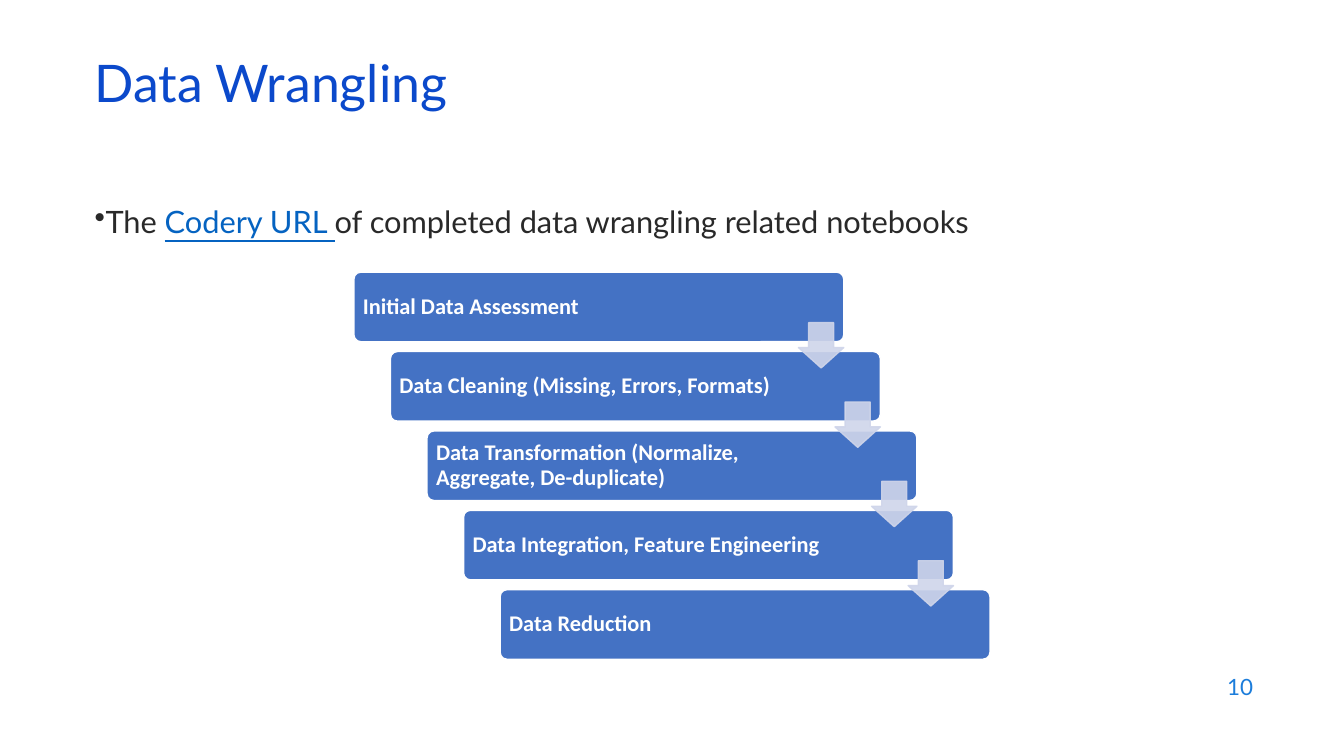
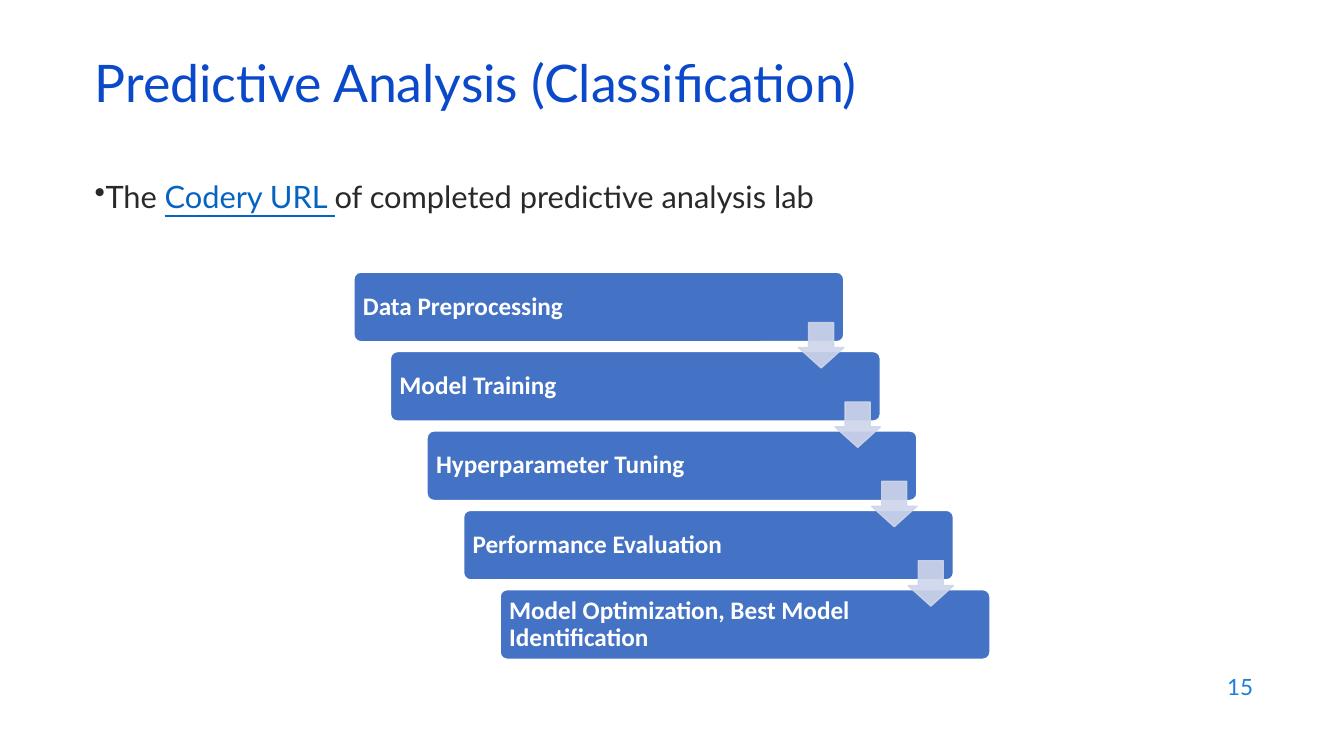
from lxml import etree
from pptx import Presentation
from pptx.dml.color import RGBColor
from pptx.enum.shapes import MSO_SHAPE
from pptx.enum.text import MSO_ANCHOR, MSO_AUTO_SIZE, PP_ALIGN
from pptx.oxml.ns import qn
from pptx.util import Inches, Pt

BOX, ARROW = MSO_SHAPE.ROUNDED_RECTANGLE, MSO_SHAPE.DOWN_ARROW
TOP, MIDDLE = MSO_ANCHOR.TOP, MSO_ANCHOR.MIDDLE
LEFT, RIGHT = PP_ALIGN.LEFT, PP_ALIGN.RIGHT
FIXED = MSO_AUTO_SIZE.NONE


def paint(target, color):
    target.rgb = RGBColor.from_string(color)


def assign(target, values):
    for name, value in values.items():
        setattr(target, name, value)


class Deck:
    title_font = {"name": "Lato", "size": Pt(37), "bold": False}
    body_font = {"name": "Lato", "size": Pt(22)}
    page_font = {"name": "Lato", "size": Pt(16)}
    step_font = {"name": "Calibri", "bold": True}
    step_frame = {"margin_left": Pt(5), "margin_right": Pt(63),
                  "margin_top": Pt(4), "margin_bottom": Pt(4)}
    ink, link, blue, sky = "292929", "0563C1", "0B49CB", "1C7DDB"
    fill, pale, white = "4472C4", "CFD5EA", "FFFFFF"

    def __init__(self):
        self.show = Presentation()
        self.show.slide_width = Inches(13.33)
        self.show.slide_height = Inches(7.5)
        self.slide = None

    def area(self, left, top, width, height):
        across, down = self.show.slide_width / 100, self.show.slide_height / 100
        return [round(n) for n in (left * across, top * down, width * across, height * down)]

    def label(self, shape, runs, font, anchor=MIDDLE, align=LEFT, spacing=1.0):
        frame = shape.text_frame
        assign(frame, {"word_wrap": True, "auto_size": FIXED, "vertical_anchor": anchor})
        line = frame.paragraphs[0]
        assign(line, {"alignment": align, "line_spacing": spacing})
        for text, color, under in runs:
            run = line.add_run()
            run.text = text
            assign(run.font, {**font, "underline": under})
            paint(run.font.color, color)
        return line

    def text(self, place, runs, font, **style):
        shape = self.slide.shapes.add_textbox(*self.area(*place))
        return self.label(shape, runs, font, **style)

    def page(self, title, number):
        self.slide = self.show.slides.add_slide(self.show.slide_layouts[5])
        head = self.slide.shapes.title
        names = ("left", "top", "width", "height")
        assign(head, dict(zip(names, self.area(6.3, 7.87, 86.25, 8))))
        self.label(head, [(title, self.blue, False)], self.title_font, spacing=0.7)
        self.text((71.48, 87.87, 22.5, 5.87), [(str(number), self.sky, False)],
                  self.page_font, align=RIGHT)

    def bullet(self, top, topic, spacing):
        runs = [("The ", self.ink, False), ("Codery URL ", self.link, True),
                (f"of completed {topic}", self.ink, False)]
        line = self.text((6.3, top, 80, 10), runs, self.body_font,
                         anchor=TOP, spacing=spacing)
        props = line._p.get_or_add_pPr()
        for name in ("marL", "indent"):
            props.set(name, "0")
        etree.SubElement(props, qn("a:buChar"), char="•")

    def shape(self, kind, place, fill, edge, adjust):
        shape = self.slide.shapes.add_shape(kind, *self.area(*place))
        shape.shadow.inherit = False
        shape.fill.solid()
        paint(shape.fill.fore_color, fill)
        paint(shape.line.color, edge)
        shape.line.width = Pt(1)
        for index, value in enumerate(adjust):
            shape.adjustments[index] = value
        return shape

    def stairs(self, steps, size):
        spots = [(26.33 + 2.72 * n, 36 + 10.5 * n) for n in range(len(steps))]
        for (left, top), step in zip(spots, steps):
            box = self.shape(BOX, (left, top, 36.45, 9.2), self.fill, self.white, [0.1])
            assign(box.text_frame, self.step_frame)
            self.label(box, [(step, self.white, False)],
                       {**self.step_font, "size": Pt(size)}, spacing=0.9)
        for left, top in spots[:-1]:
            arrow = self.shape(ARROW, (left + 33.08, top + 6.67, 3.38, 6),
                               self.pale, self.pale, [0.55, 0.45])
            for color in arrow._element.spPr.iter(qn("a:srgbClr")):
                etree.SubElement(color, qn("a:alpha"), val="90000")


def main():
    deck = Deck()
    pages = [
        ("Data Wrangling", 10, 26.67, "data wrangling related notebooks", 0.9, 16,
         ["Initial Data Assessment", "Data Cleaning (Missing, Errors, Formats)",
          "Data Transformation (Normalize, Aggregate, De-duplicate)",
          "Data Integration, Feature Engineering", "Data Reduction"]),
        ("Predictive Analysis (Classification)", 15, 22.8, "predictive analysis lab", 1.0, 18,
         ["Data Preprocessing", "Model Training", "Hyperparameter Tuning",
          "Performance Evaluation", "Model Optimization, Best Model Identification"]),
    ]
    for title, number, top, topic, spacing, size, steps in pages:
        deck.page(title, number)
        deck.bullet(top, topic, spacing)
        deck.stairs(steps, size)
    deck.show.save("out.pptx")


if __name__ == "__main__":
    main()
